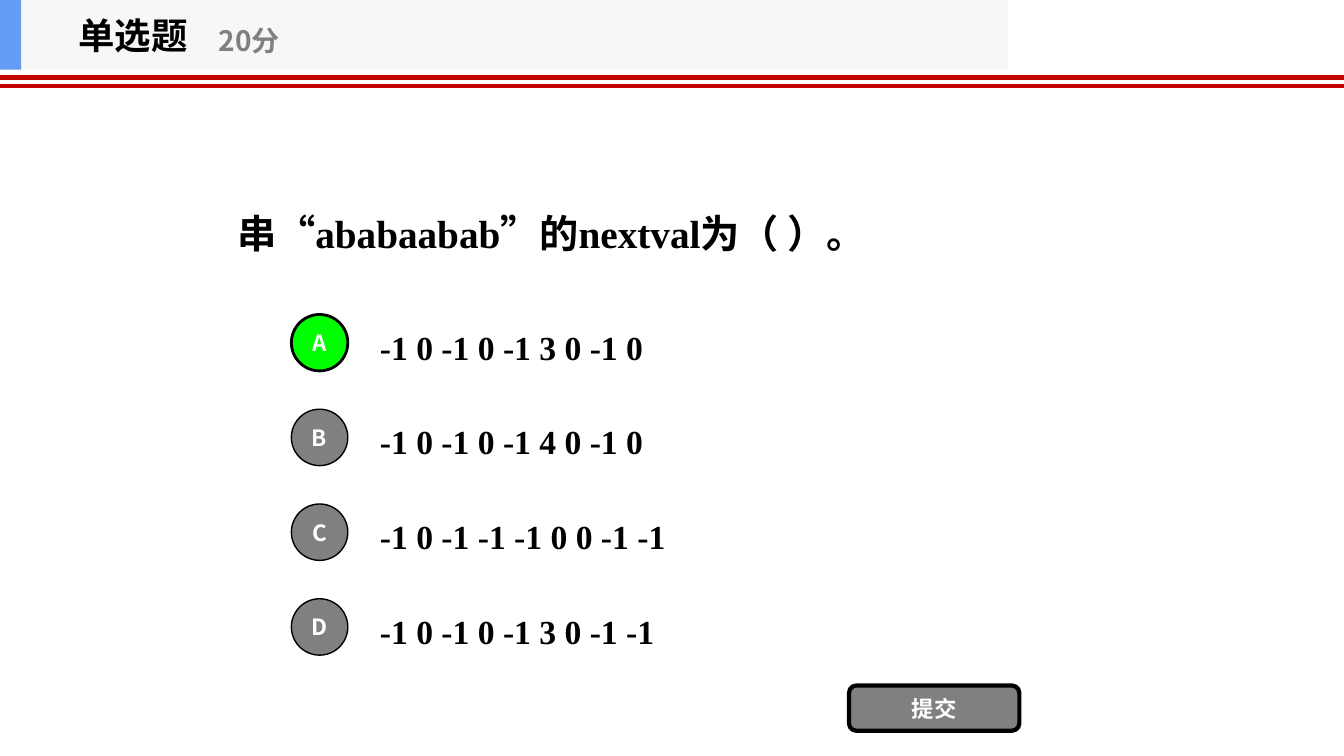
import pptx
import pptx.util
import pptx.dml.color
import pptx.enum.shapes
import pptx.enum.text
import pptx.oxml.ns
import lxml.etree

Inches = pptx.util.Inches
Pt = pptx.util.Pt
RGBColor = pptx.dml.color.RGBColor
MSO_SHAPE = pptx.enum.shapes.MSO_SHAPE
PP_ALIGN = pptx.enum.text.PP_ALIGN
qn = pptx.oxml.ns.qn

BLACK = RGBColor(0x00, 0x00, 0x00)
WHITE = RGBColor(0xFF, 0xFF, 0xFF)
GRAY = RGBColor(0x80, 0x80, 0x80)
GREEN = RGBColor(0x00, 0xFF, 0x00)
RED = RGBColor(0xC3, 0x00, 0x00)
BLUE = RGBColor(0x63, 0x9E, 0xF4)
PALE = RGBColor(0xF6, 0xF7, 0xF8)
SANS = "Noto Sans CJK SC"
SERIF = "Times New Roman"

WIDTH = 13.33
HEADER_H = 0.69
ROW_TOP, ROW_H, PITCH = 3.09, 0.7, 0.94
BADGE = 0.56

prs = pptx.Presentation()
prs.slide_width = Inches(WIDTH)
prs.slide_height = Inches(7.5)
s = prs.slides.add_slide(prs.slide_layouts[6])


def add_text(sp, text, size, font, color, align=PP_ALIGN.CENTER, wrap=True):
    tf = sp.text_frame
    tf.text = text
    tf.word_wrap = wrap
    tf.vertical_anchor = pptx.enum.text.MSO_ANCHOR.MIDDLE
    p = tf.paragraphs[0]
    p.alignment = align
    r = p.runs[0]
    r.font.size = Pt(size)
    r.font.bold = True
    r.font.name = font
    r.font.color.rgb = color
    ea = lxml.etree.SubElement(r.font._element, qn("a:ea"))
    ea.set("typeface", SANS)


def add_box(kind, left, top, width, height, fill, line=0):
    sp = s.shapes.add_shape(kind, Inches(left), Inches(top), Inches(width), Inches(height))
    sp.shadow.inherit = False
    sp.fill.solid()
    sp.fill.fore_color.rgb = fill
    if line:
        sp.line.color.rgb = BLACK
        sp.line.width = Pt(line)
    else:
        sp.line.fill.background()
    return sp


for y in (0.77, 0.85):
    rule = s.shapes.add_connector(
        pptx.enum.shapes.MSO_CONNECTOR.STRAIGHT, 0, Inches(y), prs.slide_width, Inches(y))
    rule.line.color.rgb = RED
    rule.line.width = Pt(3)
    lxml.etree.SubElement(rule._element.spPr, qn("a:effectLst"))

add_box(MSO_SHAPE.RECTANGLE, 0, 0, WIDTH * 0.75, HEADER_H, PALE)
add_box(MSO_SHAPE.RECTANGLE, 0, 0, 0.21, HEADER_H, BLUE)
heading = s.shapes.add_textbox(Inches(0.28), 0, Inches(2.08), Inches(HEADER_H))
add_text(heading, "单选题", 26, SANS, BLACK, wrap=False)
score = s.shapes.add_textbox(Inches(2.07), Inches(0.12), Inches(2.5), Inches(0.56))
add_text(score, "20分", 20, SANS, GRAY, PP_ALIGN.LEFT, False)

question = s.shapes.add_textbox(Inches(1.47), Inches(1.14), Inches(8), Inches(2.34))
add_text(question, "串“ababaabab”的nextval为（ ）。", 28, SERIF, BLACK)

answers = [
    ("A", "-1 0 -1 0 -1 3 0 -1 0"),
    ("B", "-1 0 -1 0 -1 4 0 -1 0"),
    ("C", "-1 0 -1 -1 -1 0 0 -1 -1"),
    ("D", "-1 0 -1 0 -1 3 0 -1 -1"),
]
for i, (letter, answer) in enumerate(answers):
    top = ROW_TOP + i * PITCH
    option = s.shapes.add_textbox(Inches(3.67), Inches(top), Inches(7), Inches(ROW_H))
    add_text(option, answer, 24, SERIF, BLACK, PP_ALIGN.LEFT)
    correct = letter == "A"
    badge = add_box(MSO_SHAPE.OVAL, 2.89, top + 0.03, BADGE, BADGE,
                    GREEN if correct else GRAY, 2 if correct else 1)
    add_text(badge, letter, 16, SANS, WHITE, wrap=False)

submit = add_box(MSO_SHAPE.ROUNDED_RECTANGLE, 8.42, 6.8, 1.69, 0.45, GRAY, 3)
add_text(submit, "提交", 16, SANS, WHITE)

prs.save("out.pptx")
